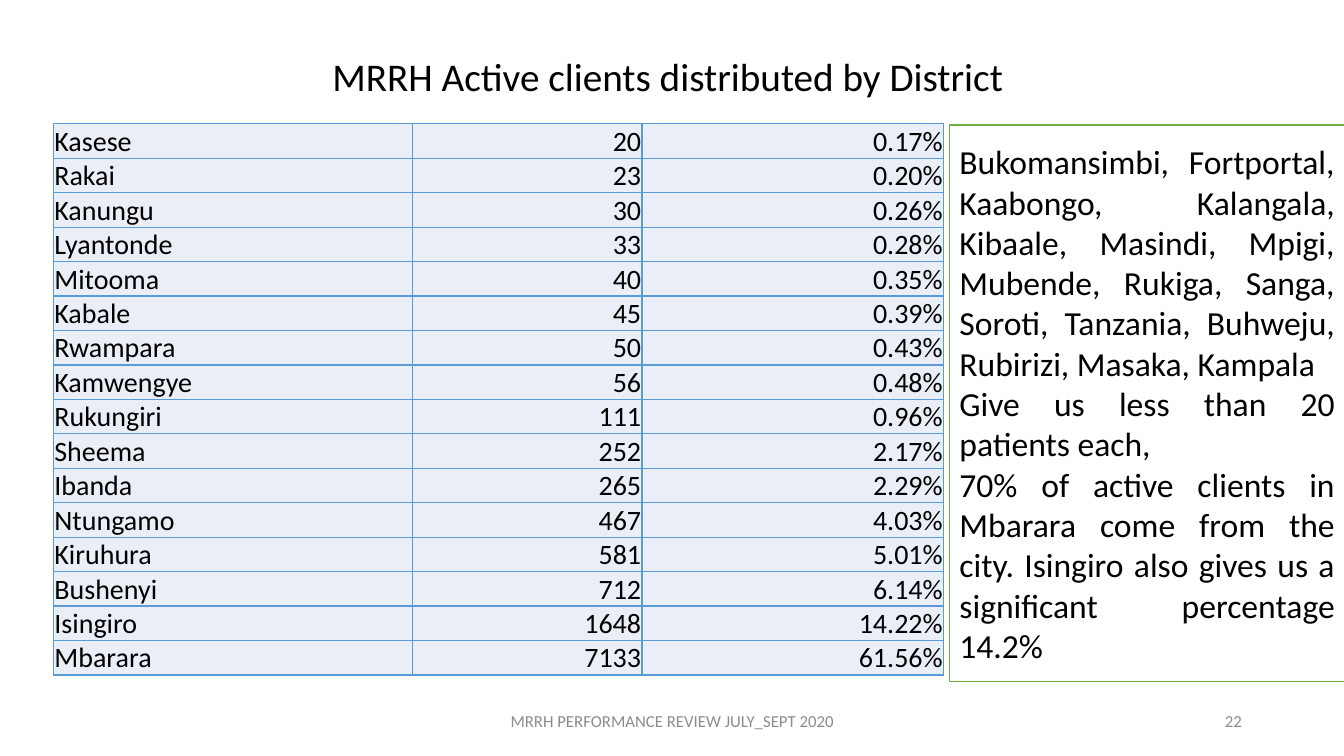
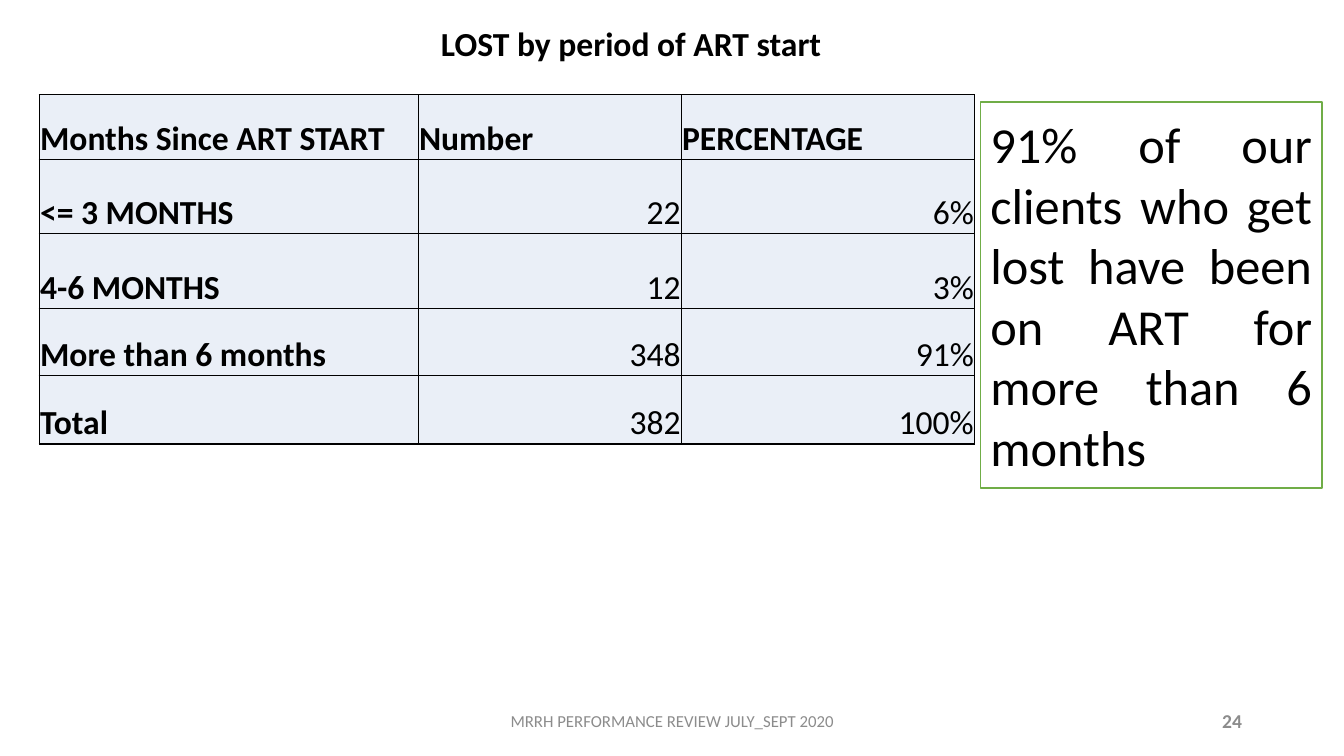
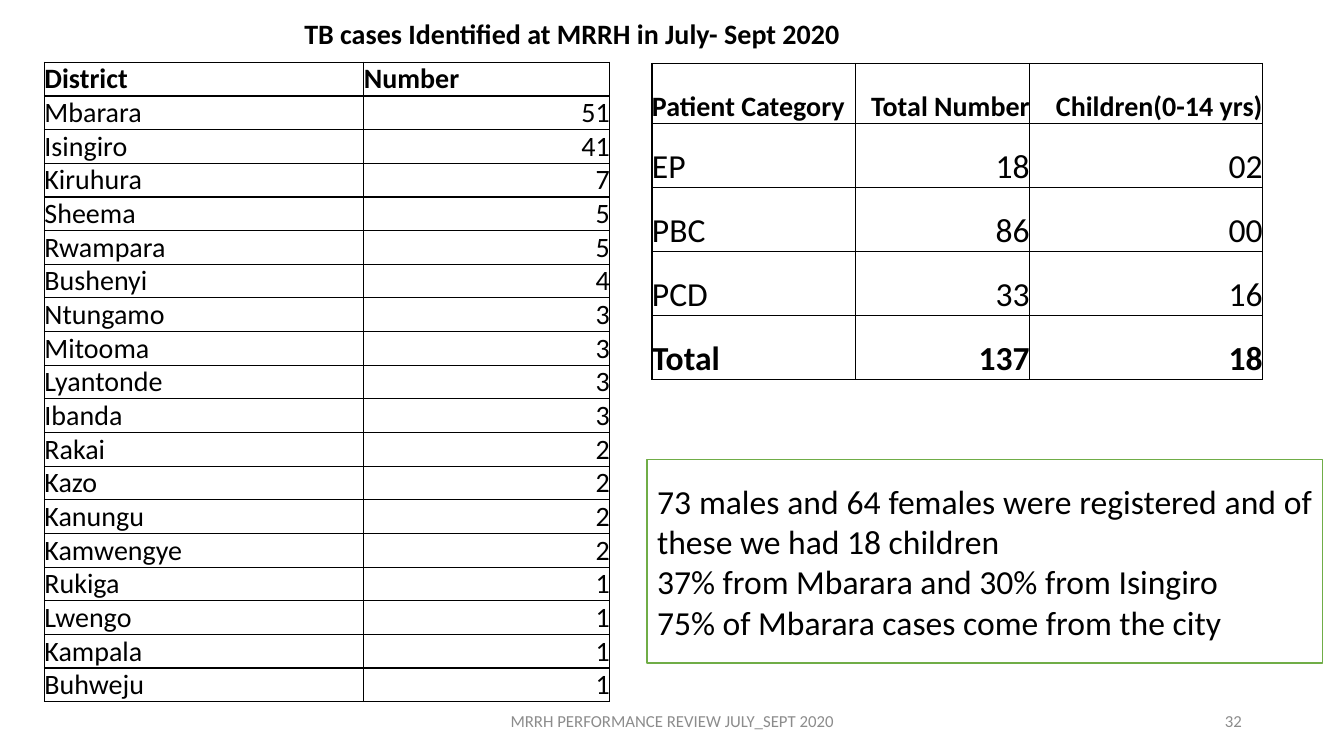
"""Build three clinic performance review slides: active clients, lost clients and TB cases."""
from lxml.etree import SubElement
from pptx import Presentation
from pptx.dml.color import RGBColor
from pptx.enum.shapes import MSO_SHAPE as Shape
from pptx.enum.text import MSO_ANCHOR as Anchor, MSO_AUTO_SIZE as AutoSize, PP_ALIGN as Align
from pptx.oxml.ns import qn
from pptx.util import Cm, Pt

COLORS = {"text": "000000", "muted": "8C8C8C", "white": "FFFFFF",
          "pale": "EAEFF7", "blue": "5B9BD5", "green": "70AD47"}
FONT = "Calibri"
FOOTER = "MRRH PERFORMANCE REVIEW JULY_SEPT 2020"


def write_text(frame, lines, size, align=Align.LEFT, bold=False, color="text"):
    for index, line in enumerate(lines):
        para = frame.add_paragraph() if index else frame.paragraphs[0]
        para.text = line
        para.alignment = align
        para.font.name = FONT
        para.font.size = Pt(size)
        para.font.bold = bold
        para.font.color.rgb = RGBColor.from_string(COLORS[color])


def add_grid(page, spot, widths, heights, rows, size=20, header_size=None, header_align=Align.LEFT,
             bold_rows=(), bold_labels=False, border="text", fill=None, margin=0.0):
    grid = page.shapes.add_table(len(rows), len(widths), Cm(spot[0]), Cm(spot[1]),
                                 Cm(sum(widths)), Cm(sum(heights))).table
    grid.first_row = grid.horz_banding = False
    for column, width in zip(grid.columns, widths):
        column.width = Cm(width)
    for row_index, (row, height) in enumerate(zip(rows, heights)):
        grid.rows[row_index].height = Cm(height)
        for column_index, value in enumerate(row):
            cell = grid.cell(row_index, column_index)
            cell.margin_left = cell.margin_right = cell.margin_top = Cm(margin)
            cell.margin_bottom = 0
            cell.vertical_anchor = Anchor.BOTTOM
            is_header = header_size is not None and row_index == 0
            align = header_align if is_header else Align.RIGHT
            write_text(cell.text_frame, [value], header_size if is_header else size,
                       align if column_index else Align.LEFT,
                       row_index in bold_rows or (bold_labels and column_index == 0))
            properties = cell._tc.get_or_add_tcPr()
            for side in ("a:lnL", "a:lnR", "a:lnT", "a:lnB"):
                line = SubElement(properties, qn(side), w=str(Pt(1)))
                SubElement(SubElement(line, qn("a:solidFill")), qn("a:srgbClr"), val=COLORS[border])
            if fill:
                cell.fill.solid()
                cell.fill.fore_color.rgb = RGBColor.from_string(COLORS[fill])
            else:
                cell.fill.background()


active_clients = [
    ("Kasese", "20", "0.17%"), ("Rakai", "23", "0.20%"), ("Kanungu", "30", "0.26%"),
    ("Lyantonde", "33", "0.28%"), ("Mitooma", "40", "0.35%"), ("Kabale", "45", "0.39%"),
    ("Rwampara", "50", "0.43%"), ("Kamwengye", "56", "0.48%"), ("Rukungiri", "111", "0.96%"),
    ("Sheema", "252", "2.17%"), ("Ibanda", "265", "2.29%"), ("Ntungamo", "467", "4.03%"),
    ("Kiruhura", "581", "5.01%"), ("Bushenyi", "712", "6.14%"), ("Isingiro", "1648", "14.22%"),
    ("Mbarara", "7133", "61.56%"),
]
lost_clients = [
    ("Months Since ART START", "Number", "PERCENTAGE"),
    ("<= 3 MONTHS", "22", "6%"),
    ("4-6 MONTHS", "12", "3%"),
    ("More than 6 months", "348", "91%"),
    ("Total", "382", "100%"),
]
tb_districts = [
    ("District", "Number"), ("Mbarara", "51"), ("Isingiro", "41"), ("Kiruhura", "7"),
    ("Sheema", "5"), ("Rwampara", "5"), ("Bushenyi", "4"), ("Ntungamo", "3"), ("Mitooma", "3"),
    ("Lyantonde", "3"), ("Ibanda", "3"), ("Rakai", "2"), ("Kazo", "2"), ("Kanungu", "2"),
    ("Kamwengye", "2"), ("Rukiga", "1"), ("Lwengo", "1"), ("Kampala", "1"), ("Buhweju", "1"),
]
tb_categories = [
    ("Patient Category", "Total Number", "Children(0-14 yrs)"),
    ("EP", "18", "02"),
    ("PBC", "86", "00"),
    ("PCD", "33", "16"),
    ("Total", "137", "18"),
]

slides = [
    {
        "number": "22", "number_size": 12, "number_bold": False,
        "title": "MRRH Active clients distributed by District",
        "title_at": (8.13, 1.12, 17.63, 1.55), "title_size": 28, "title_bold": False,
        "title_align": Align.LEFT, "title_wrap": False, "title_spacing": 1.07,
        "grids": [dict(spot=(1.35, 3.12), widths=(9.04, 5.79, 7.6), heights=[0.84] * 16,
                       rows=active_clients, border="blue", fill="pale", margin=0.02)],
        "note_at": (23.93, 3.15, 9.96, 14.02), "note_size": 24,
        "note": ["Bukomansimbi, Fortportal, Kaabongo, Kalangala, Kibaale, Masindi, Mpigi, Mubende, "
                 "Rukiga, Sanga, Soroti, Tanzania, Buhweju, Rubirizi, Masaka, Kampala",
                 "Give us less than 20 patients each,",
                 "70% of active clients in Mbarara come from the city. "
                 "Isingiro also gives us a significant percentage 14.2%"],
    },
    {
        "number": "24", "number_size": 14, "number_bold": True,
        "title": "LOST by period of ART start",
        "title_at": (9.58, 0.46, 12.65, 1.27), "title_size": 24, "title_bold": True,
        "title_align": Align.CENTER, "title_wrap": True, "title_spacing": 1.0,
        "grids": [dict(spot=(0.99, 2.39), widths=(9.55, 6.63, 7.39),
                       heights=(1.63, 1.86, 1.9, 1.68, 1.73), rows=lost_clients, size=24,
                       header_size=24, bold_rows=(0,), bold_labels=True, fill="pale", margin=0.02)],
        "note_at": (24.71, 2.57, 8.61, 9.73), "note_size": 36,
        "note": ["91% of our clients who get lost have been on ART for more than 6 months"],
    },
    {
        "number": "32", "number_size": 12, "number_bold": False,
        "title": "TB cases Identified at MRRH in July- Sept 2020",
        "title_at": (7.42, 0.28, 14.15, 1.12), "title_size": 20, "title_bold": True,
        "title_align": Align.LEFT, "title_wrap": False, "title_spacing": 1.0,
        "grids": [dict(spot=(1.12, 1.57), widths=(8.05, 6.2), heights=[0.84] * 19,
                       rows=tb_districts, header_size=20, bold_rows=(0,)),
                  dict(spot=(16.43, 1.6), widths=(5.13, 4.39, 5.87), heights=[1.52] + [1.61] * 4,
                       rows=tb_categories, size=24, header_size=20, header_align=Align.RIGHT,
                       bold_rows=(0, 4))],
        "note_at": (16.31, 11.58, 17.02, 5.13), "note_size": 24,
        "note": ["73 males and 64 females were registered and of these we had 18 children",
                 "37% from Mbarara and 30% from Isingiro",
                 "75% of Mbarara cases come from the city"],
    },
]

deck = Presentation()
deck.slide_width, deck.slide_height = Cm(33.87), Cm(19.05)

for slide in slides:
    page = deck.slides.add_slide(deck.slide_layouts[6])

    for left, width, text, size, align, bold in (
            (11.23, 11.43, FOOTER, 12, Align.CENTER, False),
            (23.93, 7.62, slide["number"], slide["number_size"], Align.RIGHT, slide["number_bold"])):
        frame = page.shapes.add_textbox(Cm(left), Cm(17.65), Cm(width), Cm(1.02)).text_frame
        frame.word_wrap = True
        frame.vertical_anchor = Anchor.MIDDLE
        write_text(frame, [text], size, align, bold, "muted")

    for grid_settings in slide["grids"]:
        add_grid(page, **grid_settings)

    note = page.shapes.add_shape(Shape.RECTANGLE, *map(Cm, slide["note_at"]))
    note.shadow.inherit = False
    note.fill.solid()
    note.fill.fore_color.rgb = RGBColor.from_string(COLORS["white"])
    note.line.color.rgb = RGBColor.from_string(COLORS["green"])
    note.line.width = Pt(1)
    note.text_frame.word_wrap = True
    note.text_frame.vertical_anchor = Anchor.MIDDLE
    write_text(note.text_frame, slide["note"], slide["note_size"], Align.JUSTIFY)

    frame = page.shapes.add_textbox(*map(Cm, slide["title_at"])).text_frame
    frame.word_wrap = slide["title_wrap"]
    frame.auto_size = AutoSize.SHAPE_TO_FIT_TEXT
    write_text(frame, [slide["title"]], slide["title_size"], slide["title_align"], slide["title_bold"])
    frame.paragraphs[0].line_spacing = slide["title_spacing"]

deck.save("out.pptx")
